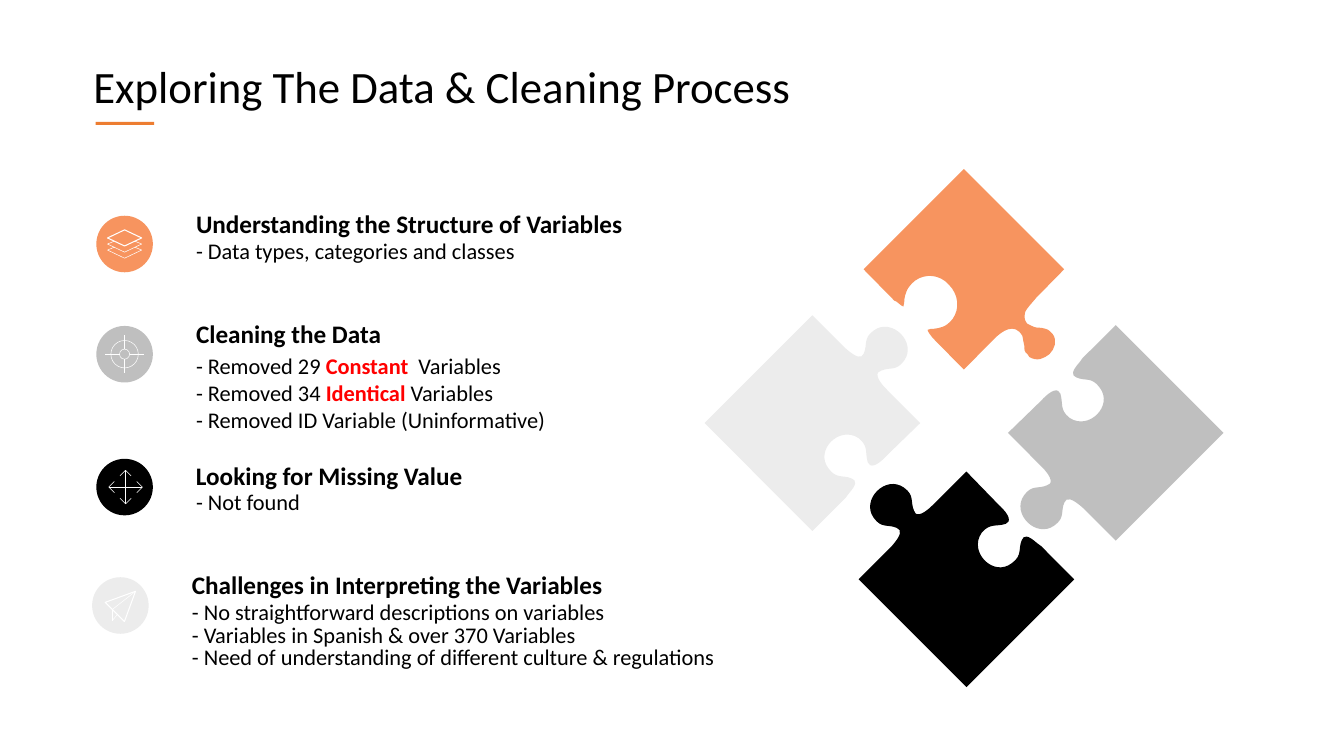
from dataclasses import dataclass
from typing import NamedTuple

from lxml import etree
from pptx import Presentation
from pptx.dml.color import RGBColor
from pptx.enum.shapes import MSO_CONNECTOR, MSO_SHAPE
from pptx.enum.text import MSO_ANCHOR
from pptx.oxml.ns import qn
from pptx.util import Pt

OVAL, RECT = MSO_SHAPE.OVAL, MSO_SHAPE.RECTANGLE
STRAIGHT = MSO_CONNECTOR.STRAIGHT
TOP, MIDDLE = MSO_ANCHOR.TOP, MSO_ANCHOR.MIDDLE

BLACK = RGBColor(0x00, 0x00, 0x00)
WHITE = RGBColor(0xFF, 0xFF, 0xFF)
RED = RGBColor(0xFF, 0x00, 0x00)
ORANGE = RGBColor(0xF7, 0x94, 0x5F)
RULE_ORANGE = RGBColor(0xED, 0x7D, 0x31)
GREY = RGBColor(0xBF, 0xBF, 0xBF)
PALE = RGBColor(0xEC, 0xEC, 0xEC)

FONT = "Calibri"
DISC = 40.4
THIN, MEDIUM = 0.37, 0.75

Point = tuple[float, float]
Step = tuple[float, ...]


class Run(NamedTuple):
    text: str
    red: bool = False


@dataclass
class Topic:
    color: RGBColor
    disc_left: float
    disc_top: float
    text_left: float
    heading_top: float
    heading_width: float
    heading: str
    body_top: float
    body_width: float
    body_height: float
    body: list[list[Run]]
    body_spacing: float | None = 16

    @property
    def center(self) -> Point:
        return self.disc_left + DISC / 2, self.disc_top + DISC / 2


@dataclass
class Piece:
    color: RGBColor
    center: Point
    outline: list[Step]
    quarter_turns: int = 0


TOPICS = [
    Topic(ORANGE, 68.8, 154.1, 140, 151.4, 308.2, "Understanding the Structure of Variables",
          172.8, 278, 16.6, [[Run("- Data types, categories and classes")]]),
    Topic(GREY, 68.8, 232.8, 140, 230, 133.2, "Cleaning the Data", 251.4, 373.7, 74.9,
          [[Run("- Removed 29 "), Run("Constant ", True), Run(" Variables")],
           [Run("- Removed 34 "), Run("Identical", True), Run(" Variables")],
           [Run("- Removed ID Variable (Uninformative)")]], None),
    Topic(BLACK, 68.8, 327.7, 140, 331.6, 196.6, "Looking for Missing Value",
          352.2, 293.8, 16.6, [[Run("- Not found")]]),
    Topic(PALE, 65.8, 412.3, 137.1, 409.7, 299.5, "Challenges in Interpreting the Variables",
          430.6, 421.2, 49,
          [[Run("- No straightforward descriptions on variables\n"
                "- Variables in Spanish & over 370 Variables\n"
                "- Need of understanding of different culture & regulations")]]),
]

# Outlines are offsets from the centre: pairs are corners, sixes are Bézier curves.
TWO_KNOB_OUTLINE = [
    (-33.1, -10.8), (-40.3, -16.6, -37.4, -20.9, -39.6, -28.1),
    (-41, -31.7, -45.4, -31.7, -53.3, -23), (-77, 0), (-53.3, 23.8),
    (-44.6, 32.4, -45.4, 36.7, -49, 37.4), (-55.4, 40.3, -59.8, 36.7, -65.5, 44.6),
    (-74.9, 57.6, -56.9, 75.6, -43.9, 66.2), (-36, 60.5, -39.6, 56.2, -36.7, 49.7),
    (-35.3, 46.1, -31.7, 46.1, -23, 54), (0, 77), (77, 0), (0, -77),
    (-23.8, -53.3), (-25.9, -50.4), (-31.7, -43.9, -31.7, -41, -28.1, -39.6),
    (-21.6, -36.7, -17.3, -40.3, -11.5, -32.4), (-1.4, -19.4, -19.4, -1.4, -33.1, -10.8),
]
TOP_OUTLINE = [
    (-20.2, 51.1), (-24.5, 46.8, -25.9, 43.9, -25.9, 43.2),
    (-24.5, 42.5, -23, 42.5, -21.6, 42.5), (-17.3, 41.8, -13, 41.8, -7.9, 35.3),
    (-2.9, 28.1, -3.6, 18, -10.8, 10.8), (-17.3, 3.6, -27.4, 2.9, -34.6, 7.9),
    (-41, 13, -41.8, 17.3, -42.5, 21.6), (-42.5, 23, -42.5, 24.5, -43.2, 26.6),
    (-43.9, 26.6, -45.4, 25.2, -48.2, 23), (-49.7, 22.3), (-71.6, 0), (0, -71.6),
    (71.6, 0), (51.8, 20.2), (48.2, 24.5, 45.4, 27.4, 43.9, 30.2),
    (42.5, 34.6, 43.9, 37.4, 45.4, 38.9), (46.1, 39.6, 46.8, 40.3, 48.2, 40.3),
    (51.1, 41.8, 53.3, 41.8, 55.4, 41.8), (58.3, 42.5, 59.8, 42.5, 61.9, 44.6),
    (63.4, 46.1), (67, 51.1, 64.8, 56.9, 61.2, 60.5),
    (57.6, 63.4, 52.6, 66.2, 46.8, 62.6), (45.4, 60.5),
    (43.2, 59, 43.2, 57.6, 43.2, 54.7), (42.5, 52.6, 42.5, 50.4, 41.8, 47.5),
    (41, 46.1, 40.3, 45.4, 39.6, 44.6), (33.1, 38.2, 23.8, 47.5, 20.9, 50.4), (0, 71.6),
]
PIECES = [
    Piece(GREY, (797, 309.2), TWO_KNOB_OUTLINE),
    Piece(ORANGE, (688.5, 192.4), TOP_OUTLINE),
    Piece(PALE, (580.3, 302.2), TWO_KNOB_OUTLINE, 2),
    Piece(BLACK, (690.3, 413.8), TWO_KNOB_OUTLINE, 1),
]


def quarter_turn(step: Step) -> Step:
    """Turn every point of a step clockwise about the centre."""
    return tuple(v for x, y in zip(step[::2], step[1::2]) for v in (-y, x))


def paint(sp, fill: RGBColor | None, line_width: float = 0) -> None:
    sp.shadow.inherit = False
    if fill is None:
        sp.fill.background()
    else:
        sp.fill.solid()
        sp.fill.fore_color.rgb = fill
    if line_width:
        sp.line.color.rgb = WHITE
        sp.line.width = Pt(line_width)
    else:
        sp.line.fill.background()


def add_preset(s, kind, left: float, top: float, width: float, height: float,
               fill: RGBColor | None, line_width: float = 0) -> None:
    sp = s.shapes.add_shape(kind, Pt(left), Pt(top), Pt(width), Pt(height))
    paint(sp, fill, line_width)


def add_outline(s, center: Point, steps: list[Step], fill: RGBColor | None = None,
                line_width: float = 0, close: bool = True) -> None:
    """Draw the steps as straight segments, then bend those that have control points."""
    placed = [[(Pt(center[0] + x), Pt(center[1] + y)) for x, y in zip(step[::2], step[1::2])]
              for step in steps]
    builder = s.shapes.build_freeform(*placed[0][0], scale=1.0)
    builder.add_line_segments([points[-1] for points in placed[1:]], close=close)
    sp = builder.convert_to_shape()
    segments = list(sp._element.iter(qn("a:lnTo")))
    for segment, points in zip(segments, placed[1:]):
        if len(points) == 3:
            curve = etree.Element(qn("a:cubicBezTo"))
            for x, y in points:
                etree.SubElement(curve, qn("a:pt"), x=str(x - sp.left), y=str(y - sp.top))
            segment.getparent().replace(segment, curve)
    paint(sp, fill, line_width)


def add_line(s, center: Point, start: Point, end: Point) -> None:
    cx, cy = center
    line = s.shapes.add_connector(STRAIGHT, Pt(cx + start[0]), Pt(cy + start[1]),
                                  Pt(cx + end[0]), Pt(cy + end[1]))
    line.line.color.rgb = WHITE
    line.line.width = Pt(THIN)
    etree.SubElement(line._element.spPr, qn("a:effectLst"))


def add_text(s, left: float, top: float, width: float, height: float,
             paragraphs: list[list[Run]], size: float, bold: bool = False,
             spacing: float | None = None, wrap: bool = True, anchor=TOP) -> None:
    tf = s.shapes.add_textbox(Pt(left), Pt(top), Pt(width), Pt(height)).text_frame
    tf.margin_left = tf.margin_right = tf.margin_top = tf.margin_bottom = 0
    tf.word_wrap = wrap
    tf.vertical_anchor = anchor
    for i, runs in enumerate(paragraphs):
        p = tf.add_paragraph() if i else tf.paragraphs[0]
        p.font.name, p.font.size, p.font.bold = FONT, Pt(size), bold
        p.font.color.rgb = BLACK
        if spacing:
            p.line_spacing, p.space_after = Pt(spacing), Pt(16)
        for run in runs:
            for j, text in enumerate(run.text.split("\n")):
                if j:
                    p.add_line_break()
                r = p.add_run()
                r.text = text
                if run.red:
                    r.font.bold = True
                    r.font.color.rgb = RED


def add_layers_icon(s, center: Point) -> None:
    add_outline(s, center, [(0, -10.1), (-12.2, -4.3), (0, 1.4), (12.2, -4.3)],
                line_width=MEDIUM)
    for dy in (4.3, 0):
        add_outline(s, center, [(7.2, dy - 2.1), (12.2, dy), (0, dy + 5.8),
                                (-12.2, dy), (-7.2, dy - 2.1)],
                    line_width=THIN, close=False)


def add_target_icon(s, center: Point) -> None:
    for radius in (9.8, 3.6):
        add_preset(s, OVAL, center[0] - radius, center[1] - radius,
                   2 * radius, 2 * radius, None, THIN)
    for dx, dy in ((0, 1), (0, -1), (-1, 0), (1, 0)):
        add_line(s, center, (3.6 * dx, 3.6 * dy), (13.7 * dx, 13.7 * dy))


def add_arrows_icon(s, center: Point) -> None:
    middle = center[0] + 0.7, center[1]
    for dx, dy in ((1, 0), (0, 1)):
        add_line(s, middle, (12 * dx, 12 * dy), (-12 * dx, -12 * dy))
        for end in (-1, 1):
            for side in (-4, 4):
                add_line(s, middle, (12 * end * dx, 12 * end * dy),
                         (8 * end * dx + side * dy, 8 * end * dy + side * dx))


def add_plane_icon(s, center: Point) -> None:
    nose, fold, tail = (10.8, -10.1), (-5.8, 2.9), (-5.8, 10.8)
    add_outline(s, center, [nose, (2.9, 11.5), (-10.8, -2.2)], line_width=MEDIUM)
    for start, end in ((nose, fold), (fold, tail), ((-2.2, 6.5), tail)):
        add_line(s, center, start, end)


def main() -> None:
    prs = Presentation()
    prs.slide_width, prs.slide_height = Pt(960), Pt(540)
    s = prs.slides.add_slide(prs.slide_layouts[6])
    add_text(s, 66.7, 41.8, 514.8, 38.9, [[Run("Exploring The Data & Cleaning Process")]],
             32, anchor=MIDDLE)
    add_preset(s, RECT, 68.3, 87.1, 41.8, 2.2, RULE_ORANGE)
    for piece in PIECES:
        steps = piece.outline
        for _ in range(piece.quarter_turns):
            steps = [quarter_turn(step) for step in steps]
        add_outline(s, piece.center, steps, piece.color)
    icons = (add_layers_icon, add_target_icon, add_arrows_icon, add_plane_icon)
    for topic, add_icon in zip(TOPICS, icons):
        add_preset(s, OVAL, topic.disc_left, topic.disc_top, DISC, DISC, topic.color)
        add_icon(s, topic.center)
        add_text(s, topic.text_left, topic.heading_top, topic.heading_width, 19.4,
                 [[Run(topic.heading)]], 18, bold=True, spacing=18.7, wrap=False)
        add_text(s, topic.text_left, topic.body_top, topic.body_width, topic.body_height,
                 topic.body, 16, spacing=topic.body_spacing)
    prs.save("out.pptx")


if __name__ == "__main__":
    main()
